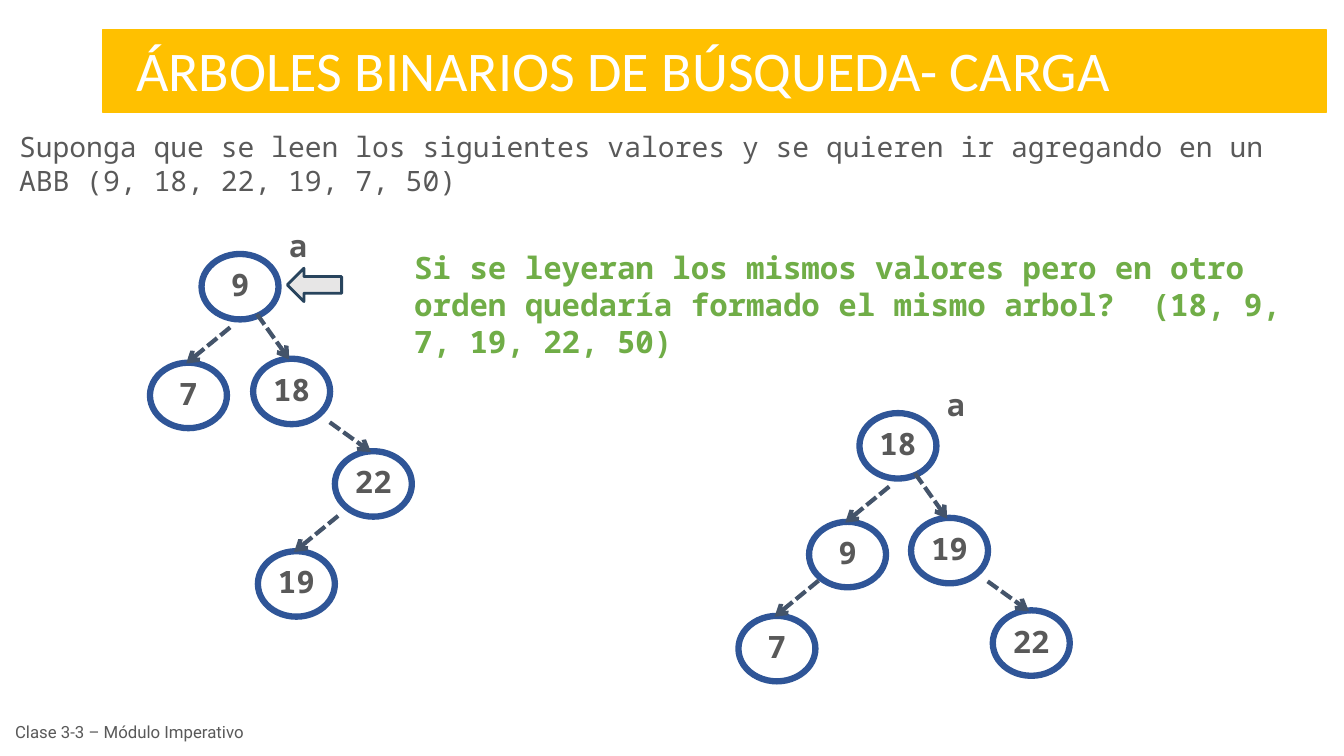
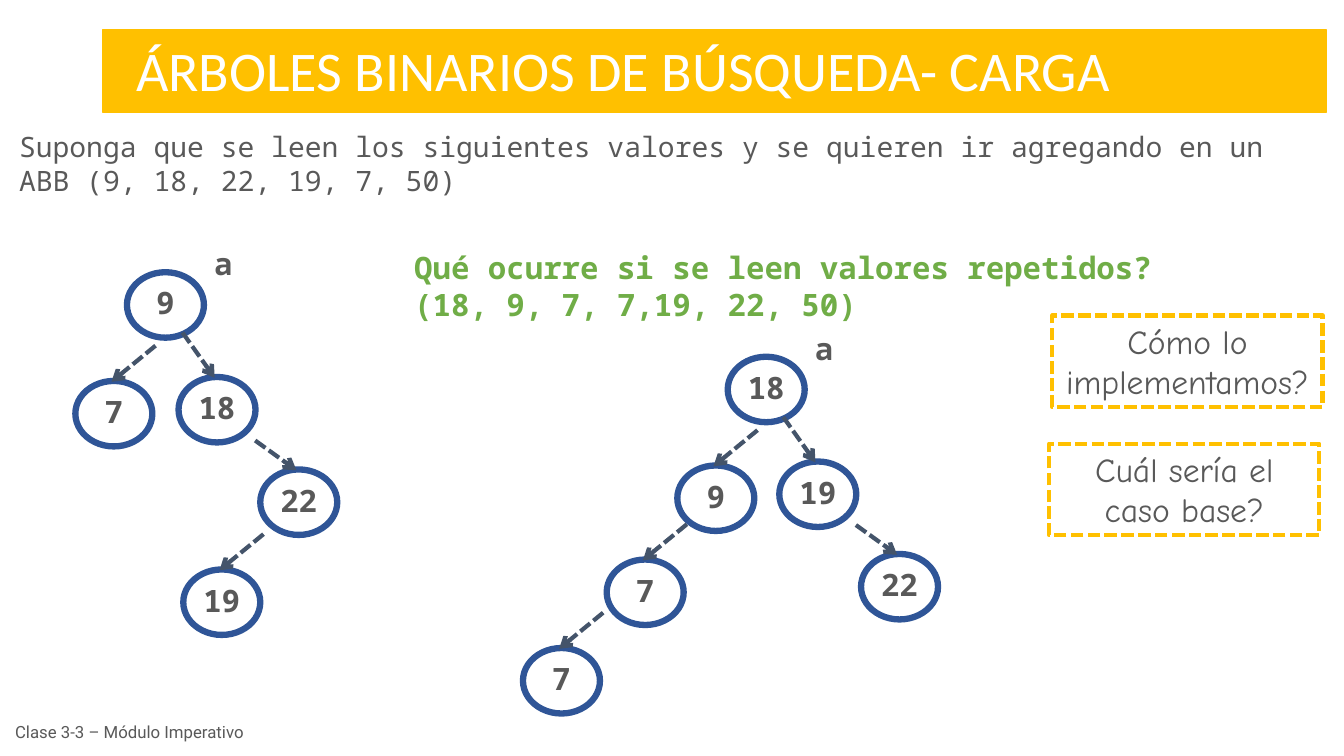
"""Build two slides on loading binary search trees."""
import dataclasses
import typing

import pptx
import pptx.dml.color
import pptx.enum.dml
import pptx.enum.shapes
import pptx.enum.text
import pptx.oxml
import pptx.oxml.ns
import pptx.shapes.autoshape
import pptx.slide
import pptx.util

Cm = pptx.util.Cm
Pt = pptx.util.Pt
RGBColor = pptx.dml.color.RGBColor
SHAPE = pptx.enum.shapes.MSO_SHAPE
ALIGN = pptx.enum.text.PP_ALIGN
ANCHOR = pptx.enum.text.MSO_ANCHOR
DASH = pptx.enum.dml.MSO_LINE

AMBER = RGBColor(0xFF, 0xC0, 0x00)
WHITE = RGBColor(0xFF, 0xFF, 0xFF)
GRAY = RGBColor(0x59, 0x59, 0x59)
GREEN = RGBColor(0x70, 0xAD, 0x47)
BLUE = RGBColor(0x2F, 0x55, 0x97)
SLATE = RGBColor(0x44, 0x54, 0x6A)
POINTER_FILL = RGBColor(0xE7, 0xE6, 0xE6)
POINTER_LINE = RGBColor(0x28, 0x44, 0x5D)

NODE_W, NODE_H = 1.94, 1.65
TIP_X, TIP_Y = 0.91, 0.02


@dataclasses.dataclass(frozen=True)
class Box:
    """Position and size in centimetres."""

    x: float
    y: float
    w: float
    h: float


@dataclasses.dataclass(frozen=True)
class Style:
    """Look of a text."""

    font: str
    size: float
    color: RGBColor
    bold: bool = False
    align: ALIGN = ALIGN.LEFT
    anchor: ANCHOR = ANCHOR.TOP
    spacing: float = 1.0


@dataclasses.dataclass(frozen=True)
class Edge:
    """Horizontal and vertical run of an arrow into a node."""

    dx: float
    dy: float


@dataclasses.dataclass(frozen=True)
class Node:
    """Tree node, placed relative to the root."""

    value: int
    dx: float = 0
    dy: float = 0
    edge: typing.Optional[Edge] = None


LEFT = Edge(-1.11, 0.91)
STEEP_RIGHT = Edge(0.81, 1.14)
RIGHT = Edge(1.04, 0.75)

TITLE = Style("Calibri", 40, WHITE)
INTRO = Style("Noto Sans Mono", 20, GRAY)
QUESTION = Style("Noto Sans Mono", 22, GREEN, bold=True)
LABEL = Style("Noto Sans Mono", 22, GRAY, bold=True, align=ALIGN.CENTER, spacing=0.9)
VALUE = dataclasses.replace(LABEL, anchor=ANCHOR.MIDDLE)
CALLOUT = Style("Comic Neue", 24, GRAY, align=ALIGN.CENTER)
FOOTER = Style("Roboto", 12, GRAY, anchor=ANCHOR.MIDDLE)

FIRST_TREE = (
    Node(9),
    Node(18, 1.3, 2.64, STEEP_RIGHT),
    Node(22, 3.36, 4.97, RIGHT),
    Node(19, 1.42, 7.49, LEFT),
    Node(7, -1.3, 2.74, LEFT),
)
REORDERED_TREE = (
    Node(18),
    Node(19, 1.3, 2.64, STEEP_RIGHT),
    Node(22, 3.36, 4.97, RIGHT),
    Node(9, -1.27, 2.74, LEFT),
    Node(7, -3.05, 5.11, LEFT),
)
REPEATED_TREE = REORDERED_TREE + (Node(7, -5.16, 7.34, LEFT),)


def write(sp: pptx.shapes.autoshape.Shape, text: str, style: Style,
          inset: float = 0.25) -> None:
    """Write text into a shape, one paragraph a line."""
    tf = sp.text_frame
    tf.word_wrap = True
    tf.vertical_anchor = style.anchor
    tf.margin_left = tf.margin_right = Cm(inset)
    tf.margin_top = tf.margin_bottom = Cm(inset / 2)
    tf.text = text
    for p in tf.paragraphs:
        p.alignment = style.align
        p.line_spacing = style.spacing
        p.font.name = style.font
        p.font.size = Pt(style.size)
        p.font.bold = style.bold
        p.font.color.rgb = style.color


def add_text(s: pptx.slide.Slide, box: Box, text: str, style: Style) -> None:
    """Add a text box."""
    sp = s.shapes.add_textbox(Cm(box.x), Cm(box.y), Cm(box.w), Cm(box.h))
    write(sp, text, style)


def add_shape(s: pptx.slide.Slide, kind: SHAPE, box: Box, line: RGBColor, width: float,
              fill: typing.Optional[RGBColor] = None) -> pptx.shapes.autoshape.Shape:
    """Add an outlined shape, filled if a colour is given."""
    sp = s.shapes.add_shape(kind, Cm(box.x), Cm(box.y), Cm(box.w), Cm(box.h))
    sp.shadow.inherit = False
    if fill is None:
        sp.fill.background()
    else:
        sp.fill.solid()
        sp.fill.fore_color.rgb = fill
    sp.line.color.rgb = line
    sp.line.width = Pt(width)
    return sp


def add_edge(s: pptx.slide.Slide, x: float, y: float, edge: Edge) -> None:
    """Add a dashed arrow that ends at the given point."""
    cx = s.shapes.add_connector(
        pptx.enum.shapes.MSO_CONNECTOR.STRAIGHT,
        Cm(x - edge.dx), Cm(y - edge.dy), Cm(x), Cm(y))
    cx.line.color.rgb = SLATE
    cx.line.width = Pt(3)
    cx.line.dash_style = DASH.SQUARE_DOT
    ln = cx.line._get_or_add_ln()
    ns = pptx.oxml.ns.nsdecls("a")
    ln.append(pptx.oxml.parse_xml(f'<a:tailEnd {ns} type="arrow"/>'))
    ln.addnext(pptx.oxml.parse_xml(f"<a:effectLst {ns}/>"))


def add_tree(s: pptx.slide.Slide, x: float, y: float, nodes: typing.Sequence[Node]) -> None:
    """Draw a tree with its root at the given point."""
    add_text(s, Box(x + 1.49, y - 0.71, 1.88, 1.27), "a", LABEL)
    for node in nodes:
        left, top = x + node.dx, y + node.dy
        sp = add_shape(s, SHAPE.OVAL, Box(left, top, NODE_W, NODE_H), BLUE, 4.5)
        write(sp, str(node.value), VALUE, inset=0)
        if node.edge:
            add_edge(s, left + TIP_X, top + TIP_Y, node.edge)


def add_callout(s: pptx.slide.Slide, x: float, y: float, text: str) -> None:
    """Add a dashed question box."""
    sp = add_shape(s, SHAPE.RECTANGLE, Box(x, y, 6.81, 2.31), AMBER, 3)
    sp.line.dash_style = DASH.SQUARE_DOT
    write(sp, text, CALLOUT)


def add_base(prs: pptx.presentation.Presentation, question: str) -> pptx.slide.Slide:
    """Add a slide with title band, intro, question and footer."""
    s = prs.slides.add_slide(prs.slide_layouts[6])
    add_shape(s, SHAPE.RECTANGLE, Box(2.59, 0.76, 30.84, 2.06), AMBER, 1, AMBER)
    add_text(s, Box(3.18, 0.76, 28.02, 1.96), "ÁRBOLES BINARIOS DE BÚSQUEDA- CARGA", TITLE)
    add_text(s, Box(0.23, 3.15, 33.12, 1.96),
             "Suponga que se leen los siguientes valores y se quieren ir agregando "
             "en un ABB (9, 18, 22, 19, 7, 50)", INTRO)
    add_text(s, Box(10.19, 6.15, 23.16, 3.07), question, QUESTION)
    add_text(s, Box(0.13, 17.96, 8, 0.97), "Clase 3-3 – Módulo Imperativo", FOOTER)
    return s


def main() -> None:
    """Build and save the presentation."""
    prs = pptx.Presentation()
    prs.slide_width, prs.slide_height = Cm(33.87), Cm(19.05)

    s = add_base(prs, "Si se leyeran los mismos valores pero en otro orden quedaría "
                      "formado el mismo arbol?  (18, 9, 7, 19, 22, 50)")
    add_tree(s, 5.08, 6.4, FIRST_TREE)
    add_shape(s, SHAPE.LEFT_ARROW, Box(7.24, 6.76, 1.37, 0.84), POINTER_LINE, 2, POINTER_FILL)
    add_tree(s, 21.66, 10.41, REORDERED_TREE)

    s = add_base(prs, "Qué ocurre si se leen valores repetidos?\n(18, 9, 7, 7,19, 22, 50)")
    add_tree(s, 3.2, 6.86, FIRST_TREE)
    add_tree(s, 18.34, 8.99, REPEATED_TREE)
    add_callout(s, 26.52, 7.95, "Cómo lo implementamos?")
    add_callout(s, 26.44, 11.18, "Cuál sería el caso base?")

    prs.save("out.pptx")


if __name__ == "__main__":
    main()
